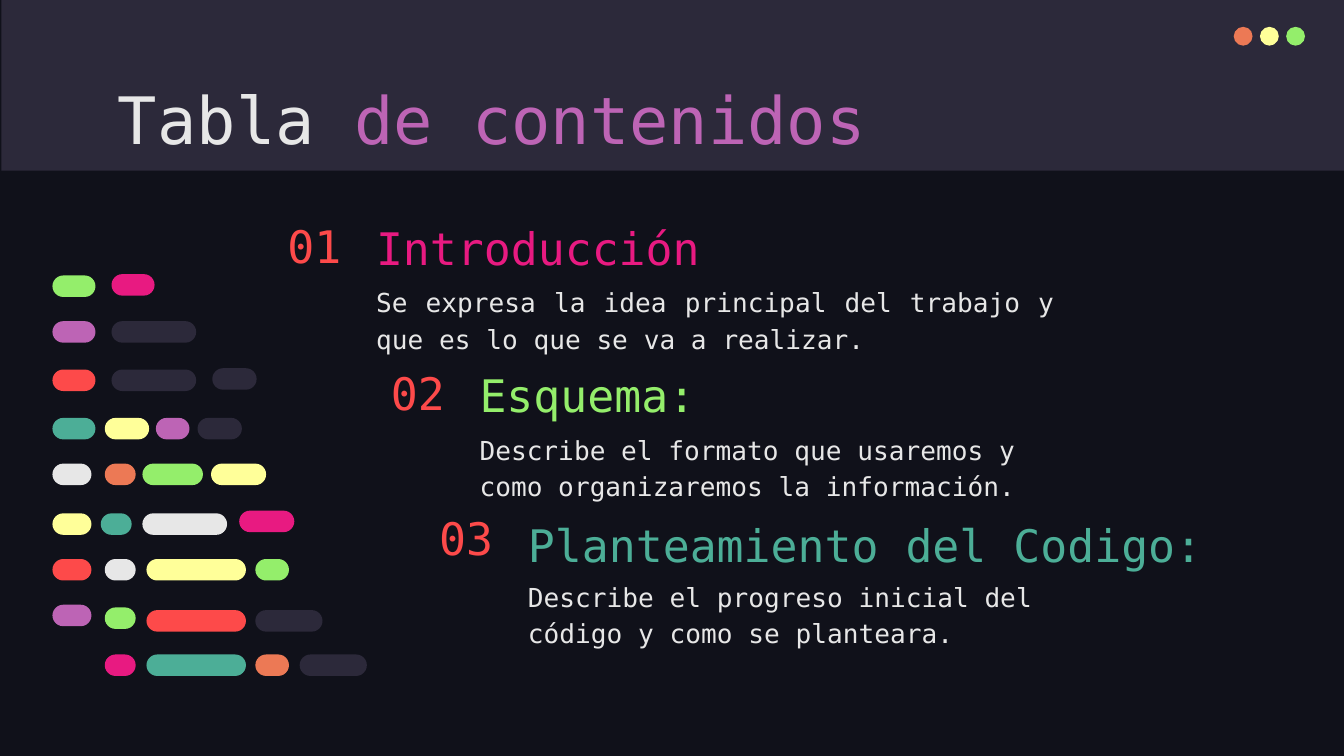
from pptx import Presentation
from pptx.dml.color import RGBColor
from pptx.enum.shapes import MSO_SHAPE
from pptx.enum.text import MSO_ANCHOR, PP_ALIGN
from pptx.util import Inches, Pt

RECT, OVAL, PILL = MSO_SHAPE.RECTANGLE, MSO_SHAPE.OVAL, MSO_SHAPE.ROUNDED_RECTANGLE
TOP, MIDDLE, BOTTOM = MSO_ANCHOR.TOP, MSO_ANCHOR.MIDDLE, MSO_ANCHOR.BOTTOM
LEFT, JUSTIFY = PP_ALIGN.LEFT, PP_ALIGN.JUSTIFY

NIGHT = RGBColor(0x10, 0x11, 0x1A)
SLATE = RGBColor(0x2C, 0x29, 0x3A)
WHITE = RGBColor(0xE7, 0xE7, 0xE7)
PURPLE = RGBColor(0xBD, 0x64, 0xB5)
RED = RGBColor(0xFD, 0x4A, 0x4A)
PINK = RGBColor(0xE8, 0x1A, 0x81)
GREEN = RGBColor(0x94, 0xEE, 0x6B)
TEAL = RGBColor(0x4C, 0xAE, 0x97)
YELLOW = RGBColor(0xFF, 0xFF, 0x99)
ORANGE = RGBColor(0xEC, 0x79, 0x55)
FONT = "DejaVu Sans Mono"

TITLE = [("Tabla ", WHITE), ("de contenidos", PURPLE)]

# Left edge, top, number height, heading, colour, heading width,
# description, its top, width and alignment
TOPICS = [
    (2.7, 1.61, 0.43, "Introducción", PINK, 4.6,
     "Se expresa la idea principal del trabajo y que es lo que se va a realizar.",
     2.0, 5.25, JUSTIFY),
    (3.47, 2.71, 0.43, "Esquema:", GREEN, 4.6,
     "Describe el formato que usaremos y como organizaremos la información.",
     3.1, 4.6, LEFT),
    (3.83, 3.82, 0.36, "Planteamiento del Codigo:", TEAL, 5.59,
     "Describe el progreso inicial del código y como se planteara.",
     4.19, 4.6, LEFT),
]

# Lines of code: top, then (left, width, colour) of each pill
CODE = [
    (2.05, [(0.39, 0.32, GREEN)]),
    (2.04, [(0.83, 0.32, PINK)]),
    (2.39, [(0.39, 0.32, PURPLE), (0.83, 0.63, SLATE)]),
    (2.75, [(0.39, 0.32, RED), (0.83, 0.63, SLATE)]),
    (2.74, [(1.58, 0.33, SLATE)]),
    (3.11, [(0.39, 0.32, TEAL), (0.78, 0.33, YELLOW), (1.16, 0.25, PURPLE),
            (1.47, 0.33, SLATE)]),
    (3.45, [(0.39, 0.29, WHITE), (0.78, 0.23, ORANGE), (1.06, 0.45, GREEN),
            (1.57, 0.41, YELLOW)]),
    (3.82, [(0.39, 0.29, YELLOW), (0.75, 0.23, TEAL), (1.06, 0.63, WHITE)]),
    (3.8, [(1.78, 0.41, PINK)]),
    (4.16, [(0.39, 0.29, RED), (0.78, 0.23, WHITE), (1.09, 0.74, YELLOW),
            (1.9, 0.25, GREEN)]),
    (4.5, [(0.39, 0.29, PURPLE)]),
    (4.52, [(0.78, 0.23, GREEN)]),
    (4.54, [(1.09, 0.74, RED), (1.9, 0.5, SLATE)]),
    (4.87, [(0.78, 0.23, PINK), (1.09, 0.74, TEAL), (1.9, 0.25, ORANGE),
            (2.23, 0.5, SLATE)]),
]


def add_form(shapes, kind, x, y, w, h, color):
    form = shapes.add_shape(kind, Inches(x), Inches(y), Inches(w), Inches(h))
    form.shadow.inherit = False
    form.fill.solid()
    form.fill.fore_color.rgb = color
    form.line.fill.background()
    return form


def add_text(slide, x, y, w, h, runs, size, anchor=TOP, align=LEFT, space=1.0):
    box = slide.shapes.add_textbox(Inches(x), Inches(y), Inches(w), Inches(h))
    frame = box.text_frame
    frame.word_wrap = True
    frame.vertical_anchor = anchor
    frame.margin_left = frame.margin_right = Inches(0.1)
    frame.margin_top = frame.margin_bottom = Inches(0.1)
    para = frame.paragraphs[0]
    para.alignment = align
    para.line_spacing = space
    for text, color in runs:
        run = para.add_run()
        run.text = text
        run.font.name = FONT
        run.font.size = Pt(size)
        run.font.color.rgb = color


def main():
    deck = Presentation()
    # A 16:9 slide
    deck.slide_width = Inches(10)
    deck.slide_height = Inches(10 * 9 / 16)
    slide = deck.slides.add_slide(deck.slide_layouts[6])
    slide.background.fill.solid()
    slide.background.fill.fore_color.rgb = NIGHT

    # Header band with window buttons
    add_form(slide.shapes, RECT, 0.01, 0, 10, 1.27, SLATE)
    dots = slide.shapes.add_group_shape().shapes
    for i, color in enumerate([ORANGE, YELLOW, GREEN]):
        add_form(dots, OVAL, 9.18 + i * 0.195, 0.2, 0.14, 0.14, color)
    add_text(slide, 0.78, 0.49, 8.43, 0.63, TITLE, 35)

    # Numbered topics
    for i, topic in enumerate(TOPICS, 1):
        x, y, tall, head, color, wide, body, low, span, align = topic
        add_text(slide, x - 0.66, y, 0.66, tall, [(f"{i:02}", RED)], 24, MIDDLE)
        add_text(slide, x, y, wide, 0.53, [(head, color)], 24, BOTTOM, space=1.15)
        add_text(slide, x, low, span, 0.63, [(body, WHITE)], 14,
                 align=align, space=1.15)

    # Code made of pills
    pills = slide.shapes.add_group_shape().shapes
    for y, row in CODE:
        for x, w, color in row:
            pill = add_form(pills, PILL, x, y, w, 0.16, color)
            pill.adjustments[0] = 0.5

    deck.save("out.pptx")


if __name__ == "__main__":
    main()
